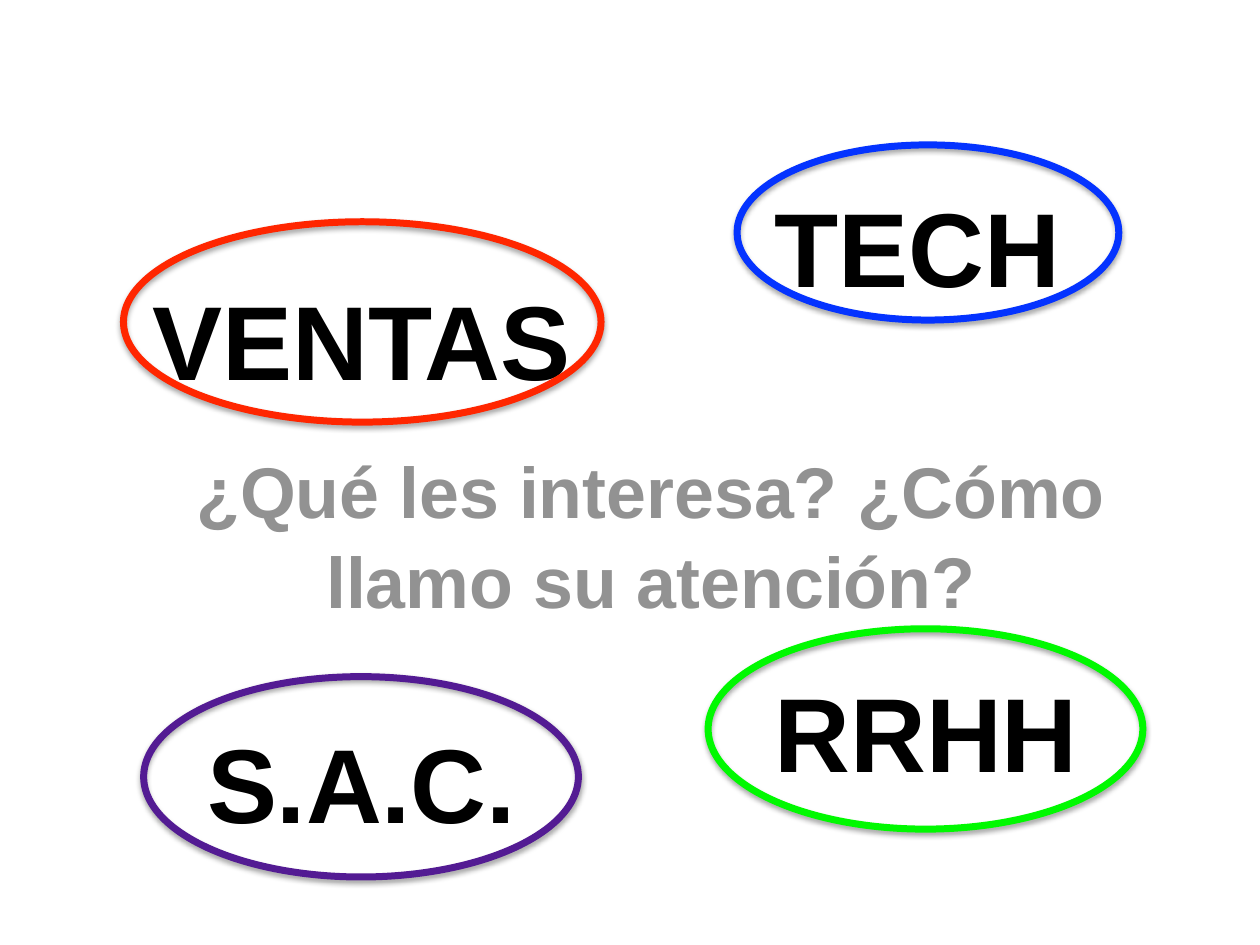
import pptx
import pptx.dml.color
import pptx.enum.shapes
import pptx.enum.text
import pptx.oxml
import pptx.oxml.ns
import pptx.util
from pptx.util import Inches

RGBColor = pptx.dml.color.RGBColor
BLACK = RGBColor(0x00, 0x00, 0x00)
GRAY = RGBColor(0x92, 0x92, 0x92)
BLUE = RGBColor(0x04, 0x33, 0xFF)
RED = RGBColor(0xFF, 0x26, 0x00)
PURPLE = RGBColor(0x53, 0x1B, 0x93)
GREEN = RGBColor(0x00, 0xF9, 0x00)

DEPARTMENTS = [
    ("RRHH", (5.93, 5.17, 2.84, 1.58), (5.62, 4.99, 3.45, 1.59), GREEN),
    ("TECH", (5.86, 1.32, 2.84, 1.58), (5.85, 1.15, 3.03, 1.39), BLUE),
    ("VENTAS", (0.95, 2.06, 3.84, 1.58), (0.98, 1.76, 3.79, 1.59), RED),
    ("S.A.C.", (1.17, 5.57, 3.4, 1.58), (1.14, 5.37, 3.45, 1.59), PURPLE),
]

SHADOW = (
    "<a:effectLst %s>"
    '<a:outerShdw blurRad="%d" dist="%d" dir="5400000" rotWithShape="0">'
    '<a:srgbClr val="000000"><a:alpha val="35000"/></a:srgbClr>'
    "</a:outerShdw></a:effectLst>"
) % (pptx.oxml.ns.nsdecls("a"), pptx.util.Pt(3), pptx.util.Pt(1.8))


def add_text(page, text, box, *, size, color, top_inset, line_spacing=1.0):
    shape = page.shapes.add_textbox(*map(Inches, box))
    frame = shape.text_frame
    frame.word_wrap = True
    frame.vertical_anchor = pptx.enum.text.MSO_ANCHOR.TOP
    frame.margin_left = frame.margin_right = frame.margin_bottom = Inches(0.05)
    frame.margin_top = Inches(top_inset)
    para = frame.paragraphs[0]
    para.alignment = pptx.enum.text.PP_ALIGN.CENTER
    para.line_spacing = line_spacing
    span = para.add_run()
    span.text = text
    span.font.name = "Arial"
    span.font.size = pptx.util.Pt(size)
    span.font.bold = True
    span.font.color.rgb = color


def add_ring(page, box, color):
    ring = page.shapes.add_shape(
        pptx.enum.shapes.MSO_SHAPE.OVAL, *map(Inches, box))
    ring.fill.background()
    ring.line.color.rgb = color
    ring.line.width = pptx.util.Pt(4)
    properties = ring.element.spPr
    properties.append(pptx.oxml.parse_xml(SHADOW))


def add_department(page, name, text_box, ring_box, color):
    add_text(page, name, text_box, size=60, color=BLACK, top_inset=0.13)
    add_ring(page, ring_box, color)


def add_question(page, box):
    add_text(page, "¿Qué les interesa? ¿Cómo llamo su atención?", box,
             size=41, color=GRAY, top_inset=0.1, line_spacing=1.04)


def main():
    deck = pptx.Presentation()
    deck.slide_width, deck.slide_height = Inches(10), Inches(7.5)
    page = deck.slides.add_slide(deck.slide_layouts.get_by_name("Blank"))
    add_question(page, (1.02, 3.42, 8.3, 1.48))
    for department in DEPARTMENTS:
        add_department(page, *department)
    deck.save("out.pptx")


if __name__ == "__main__":
    main()
